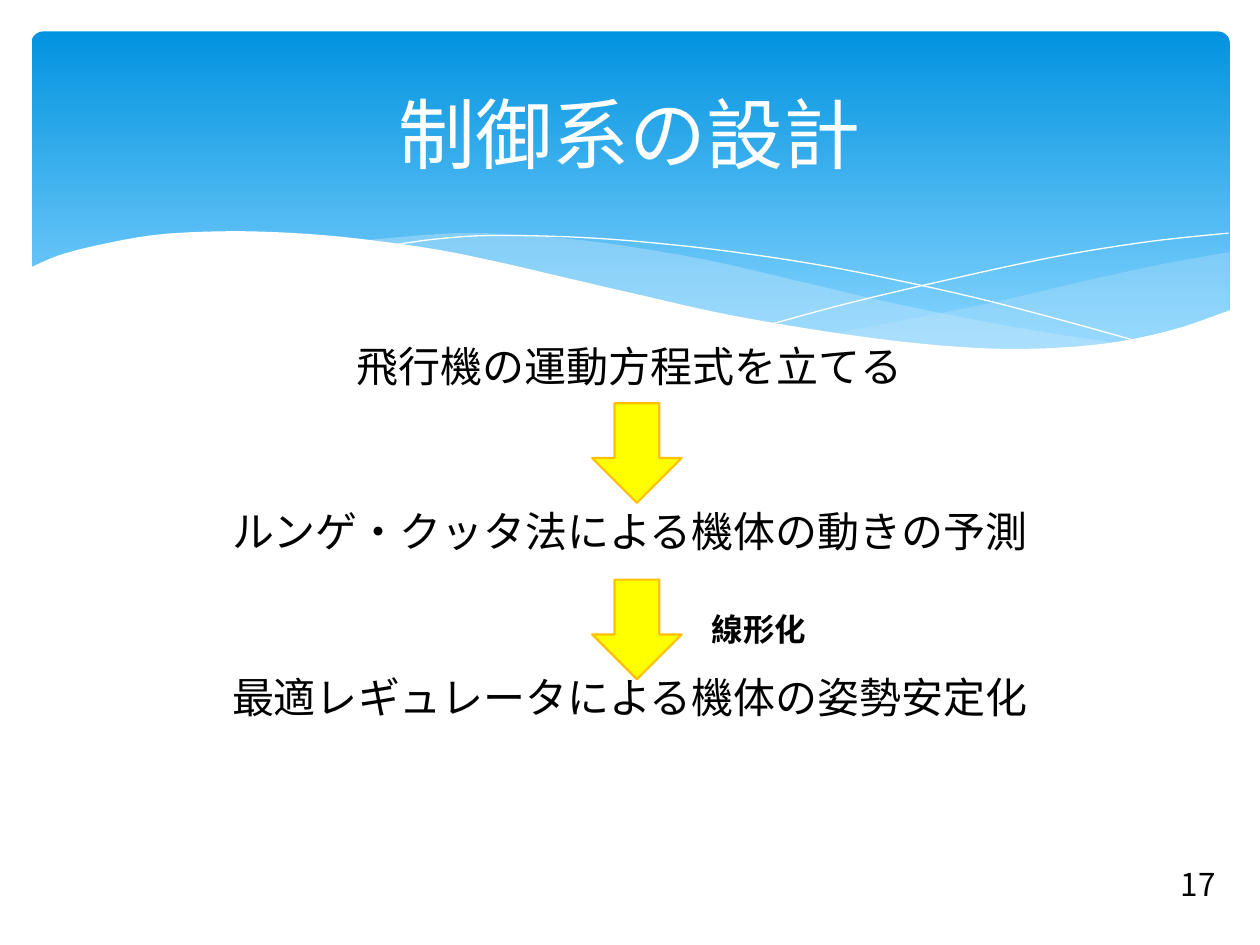
from lxml.etree import SubElement
from pptx import Presentation
from pptx.dml.color import RGBColor
from pptx.enum.shapes import MSO_SHAPE
from pptx.enum.text import MSO_ANCHOR, PP_ALIGN
from pptx.oxml.ns import qn
from pptx.util import Inches, Pt

deck = Presentation()
deck.slide_width, deck.slide_height = Inches(10), Inches(7.5)
page = deck.slides.add_slide(deck.slide_layouts[6])
shapes = page.shapes

# Lengths below count cells of a grid of 100 columns and 75 rows
CELL = deck.slide_width // 100
FONT = "Noto Sans CJK JP"
hex_color = RGBColor.from_string


def paint(shape, fill=None, line=None, width=0, opacity=100):
    shape.shadow.inherit = False
    if fill:
        shape.fill.solid()
        shape.fill.fore_color.rgb = hex_color(fill)
        if opacity < 100:
            color = shape.fill._xPr.find(".//" + qn("a:srgbClr"))
            SubElement(color, qn("a:alpha"), val=str(opacity * 1000))
    else:
        shape.fill.background()
    if line:
        shape.line.color.rgb = hex_color(line)
        shape.line.width = Pt(width)
    else:
        shape.line.fill.background()


def add_wave(*edges, close=True, steps=6):
    """Join the edges, each one smoothed through its knots (Catmull-Rom)."""
    outline = []
    for edge in edges:
        knots = [edge[0], *edge, edge[-1]]
        for a, b, c, d in zip(knots, knots[1:], knots[2:], knots[3:]):
            for step in range(steps + 1):
                t = step / steps
                outline.append([
                    round(CELL * (q + t * (r - p) / 2
                                  + t * t * (2 * p - 5 * q + 4 * r - s) / 2
                                  + t ** 3 * (3 * q - p - 3 * r + s) / 2))
                    for p, q, r, s in zip(a, b, c, d)])
    builder = shapes.build_freeform(*outline[0])
    builder.add_line_segments(outline[1:], close=close)
    return builder.convert_to_shape()


# Blue banner
banner = shapes.add_shape(MSO_SHAPE.ROUNDED_RECTANGLE,
                          *(round(CELL * n) for n in (2.5, 2.5, 95.1, 27)))
banner.adjustments[0] = 0.034
paint(banner)
banner.fill.gradient()
banner.fill.gradient_angle = 270
for stop, color, position in zip(banner.fill.gradient_stops,
                                 ("0293E0", "83D3FE"), (0, 0.9)):
    stop.color.rgb = hex_color(color)
    stop.position = position

# Translucent waves
right_wave = add_wave(
    [(97.6, 20), (92.1, 21), (86.1, 22.3), (77.9, 24.2), (66.1, 26.5)],
    [(66.1, 26.5), (71.9, 27.2), (75.7, 27.6), (80.3, 27.8), (85.4, 27.7),
     (89.7, 27), (93.5, 26.2), (97.6, 24.7)])
paint(right_wave, "C6E7FC", opacity=29)

middle_wave = add_wave(
    [(89.3, 27.3), (83.7, 26.5), (77.5, 25.4), (70.6, 24), (62.9, 22.2),
     (56.9, 20.8), (51.4, 19.8), (46.5, 19.1), (42, 18.7), (38, 18.5),
     (34.4, 18.6), (28.6, 19.1)],
    [(28.6, 19.1), (34.2, 19.9), (40.4, 21.1), (44.9, 22.2), (53, 24),
     (60.1, 25.5), (66.5, 26.6), (72.2, 27.4), (77.3, 27.7), (81.8, 27.8),
     (85.7, 27.7), (89.3, 27.3)])
paint(middle_wave, "C6E7FC", opacity=40)

# Thin white curves
for curve in (
    [(30.9, 19.5), (34.4, 19), (38.7, 18.7), (45, 18.8), (51, 19.2),
     (58.2, 20), (66.5, 21.3), (76, 23.3), (83.1, 25.1), (90.7, 27.2)],
    [(61.3, 25.7), (67.2, 24.1), (74.8, 22.3), (83.6, 20.4),
     (91, 19.2), (97.5, 18.5)],
):
    paint(add_wave(curve, close=False), line="FFFFFF")

# White lower edge of the banner
lower_edge = add_wave(
    [(97.7, 24.6), (93, 26.2), (87.5, 27.3), (80.9, 27.7), (74.4, 27.4),
     (66.8, 26.5), (57.9, 25), (50.3, 23.3), (44.7, 22), (39.1, 20.7),
     (34, 19.7), (27.1, 18.8), (21.1, 18.4), (16.1, 18.4), (11.9, 18.7),
     (7.6, 19.5), (4.6, 20.3), (2.3, 21.3)],
    [(2.3, 32.9), (97.7, 32.9)])
paint(lower_edge, "FFFFFF")

# Arrows between the steps
for row in (32, 46):
    arrow = shapes.add_shape(MSO_SHAPE.DOWN_ARROW,
                             *(round(CELL * n) for n in (47, row, 7.1, 7.9)))
    paint(arrow, "FFFF00", "FFC000", 1.25)

# Texts: lines, place, size, colour, bold, alignment, anchor
steps = ["飛行機の運動方程式を立てる",
         "ルンゲ・クッタ法による機体の動きの予測",
         "最適レギュレータによる機体の姿勢安定化"]
texts = [
    (["制御系の設計"], (5, 3.7, 90, 13.7), 44, "FFFFFF", False,
     PP_ALIGN.CENTER, MSO_ANCHOR.MIDDLE),
    (steps, (9.5, 26.5, 81, 37.7), 24, "000000", False,
     PP_ALIGN.CENTER, MSO_ANCHOR.TOP),
    (["線形化"], (55.5, 47.9, 14.2, 4), 18, "000000", True,
     PP_ALIGN.LEFT, MSO_ANCHOR.TOP),
    (["17"], (90.2, 68.2, 9.8, 4), 18, "000000", False,
     PP_ALIGN.CENTER, MSO_ANCHOR.TOP),
]
for lines, place, size, color, bold, alignment, anchor in texts:
    box = shapes.add_textbox(*(round(CELL * n) for n in place))
    frame = box.text_frame
    frame.word_wrap = True
    frame.vertical_anchor = anchor
    frame.text = "\n".join(lines)
    for index, para in enumerate(frame.paragraphs):
        para.alignment = alignment
        if index:
            para.space_before = Pt(66)
        font = para.font
        font.size, font.bold, font.name = Pt(size), bold, FONT
        font.color.rgb = hex_color(color)
        SubElement(font._rPr, qn("a:ea"), typeface=FONT)

deck.save("out.pptx")
